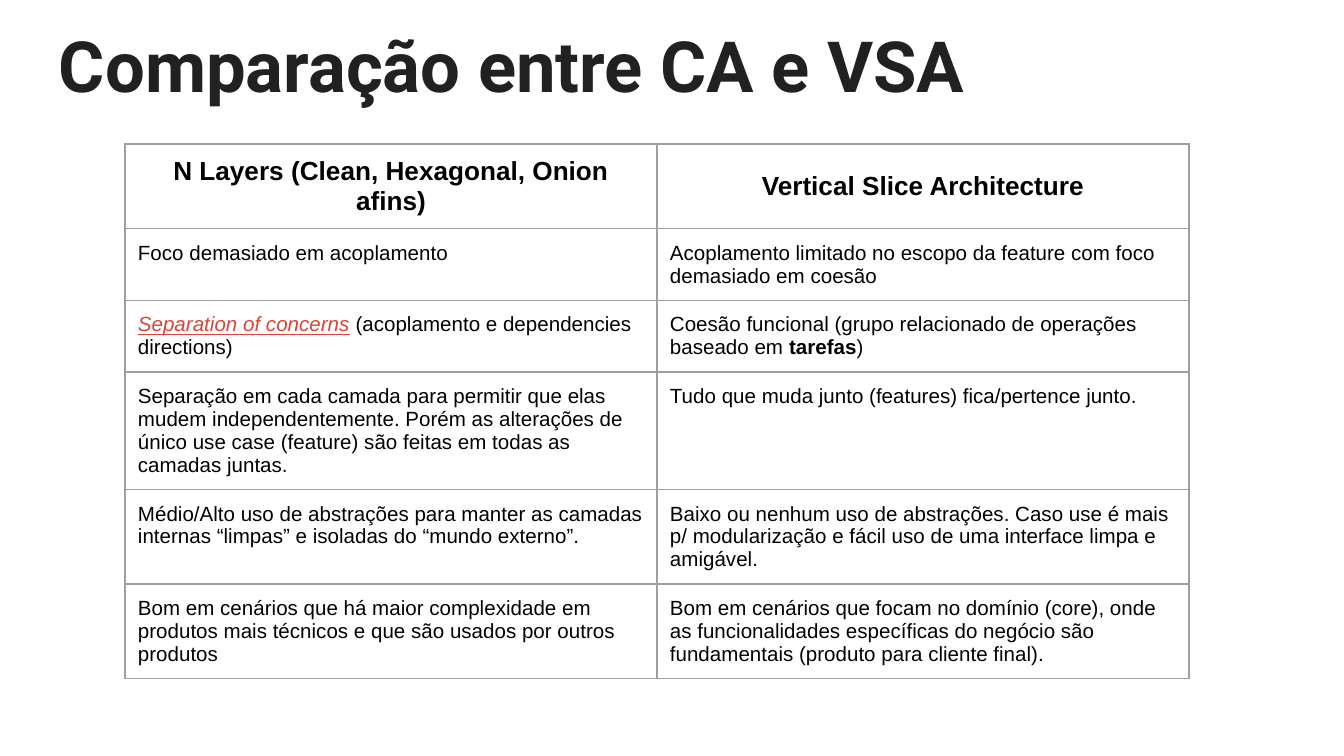
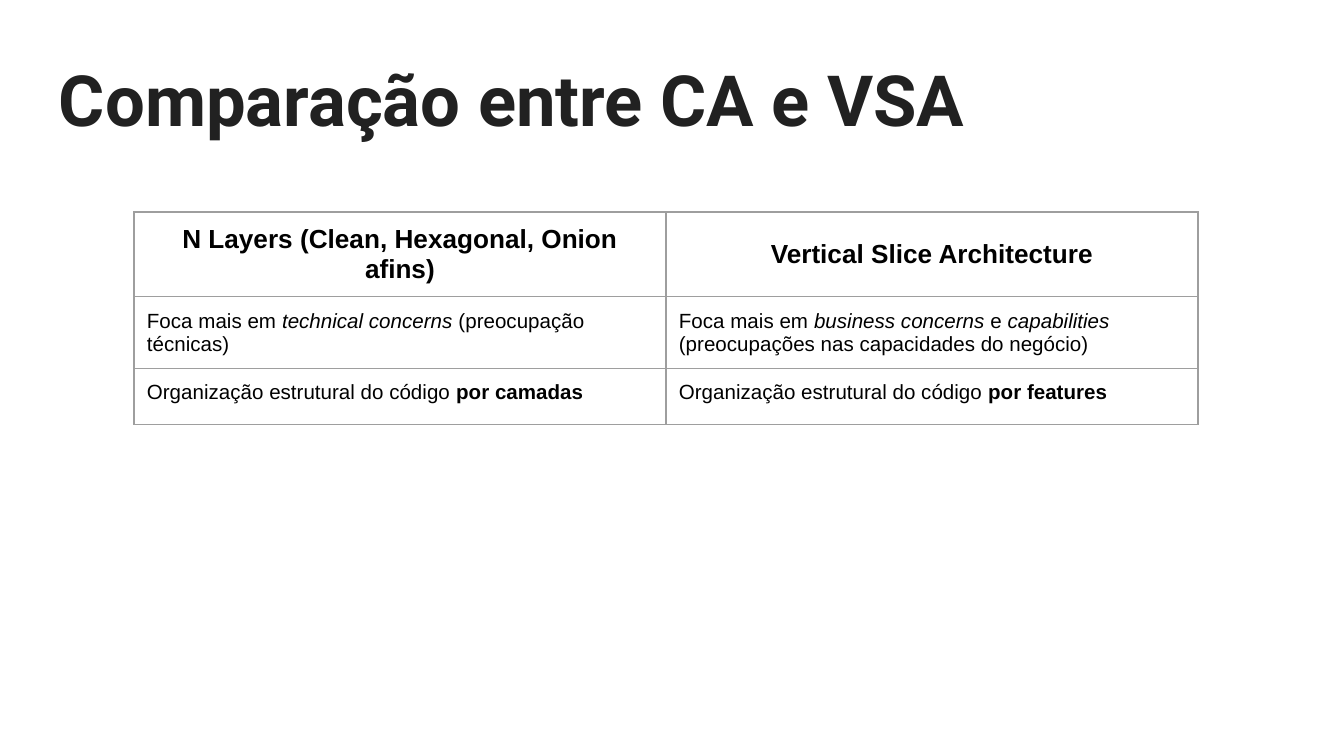
from lxml.etree import SubElement as Sub
from pptx import Presentation
from pptx.dml.color import RGBColor as Rgb
from pptx.enum.text import MSO_ANCHOR as Anchor, MSO_AUTO_SIZE as Fit, PP_ALIGN as Align
from pptx.oxml.ns import qn
from pptx.util import Emu, Pt

# Content: a cell is a list of (text, style) runs; b bold, i italic, u underlined red
TITLE = "Comparação entre CA e VSA"
HEADS = ("N Layers (Clean, Hexagonal, Onion afins)", "Vertical Slice Architecture")
SLIDES = [
    {"title_y": 9, "table_at": (125, 144), "rows": [
        ([("Foco demasiado em acoplamento", "")],
         [("Acoplamento limitado no escopo da feature com foco demasiado em coesão", "")]),
        ([("Separation of concerns", "iu"), (" (acoplamento e dependencies directions)", "")],
         [("Coesão funcional (grupo relacionado de operações baseado em ", ""),
          ("tarefas", "b"), (")", "")]),
        ([("Separação em cada camada para permitir que elas mudem independentemente. "
           "Porém as alterações de único use case (feature) são feitas em todas as "
           "camadas juntas.", "")],
         [("Tudo que muda junto (features) fica/pertence junto.", "")]),
        ([("Médio/Alto uso de abstrações para manter as camadas internas “limpas” e "
           "isoladas do “mundo externo”.", "")],
         [("Baixo ou nenhum uso de abstrações. Caso use é mais p/ modularização e fácil "
           "uso de uma interface limpa e amigável.", "")]),
        ([("Bom em cenários que há maior complexidade em produtos mais técnicos e que "
           "são usados por outros produtos", "")],
         [("Bom em cenários que focam no domínio (core), onde as funcionalidades "
           "específicas do negócio são fundamentais (produto para cliente final).", "")]),
    ]},
    {"title_y": 43, "table_at": (134, 212), "rows": [
        ([("Foca mais em ", ""), ("technical concerns ", "i"), ("(preocupação técnicas)", "")],
         [("Foca mais em ", ""), ("business concerns ", "i"), ("e ", ""),
          ("capabilities", "i"), (" (preocupações nas capacidades do negócio)", "")]),
        ([("Organização estrutural do código ", ""), ("por camadas", "b")],
         [("Organização estrutural do código ", ""), ("por features", "b")]),
    ]},
]

# Shared look
COLORS = {"title": "212121", "text": "000000", "term": "DB4437", "rule": "9E9E9E"}
COL_W, ROW_H, PAD = 532, 56, 13


def px(n):
    return Emu(round(n * 914400 / 134.4))


def style(run, face, size, color, bold=False, ital=False, under=False):
    font = run.font
    font.name, font.size = face, Pt(size)
    font.bold, font.italic, font.underline = bold, ital, under
    font.color.rgb = Rgb.from_string(COLORS[color])


def pad(box):
    box.margin_left = box.margin_right = box.margin_top = box.margin_bottom = px(PAD)


def add_title(slide, top):
    shape = slide.shapes.title
    shape.left, shape.top, shape.width, shape.height = map(px, (46, top, 1252, 118))
    frame = shape.text_frame
    frame.text = TITLE
    frame.word_wrap, frame.auto_size = True, Fit.NONE
    frame.vertical_anchor = Anchor.TOP
    pad(frame)
    para = frame.paragraphs[0]
    para.alignment = Align.LEFT
    style(para.runs[0], "Roboto", 37.8, "title", bold=True)


def rule(cell):
    props = cell._tc.get_or_add_tcPr()
    for side in ("a:lnL", "a:lnR", "a:lnT", "a:lnB"):
        line = Sub(props, qn(side), w=str(Pt(0.75)))
        fill = Sub(line, qn("a:solidFill"))
        Sub(fill, qn("a:srgbClr"), val=COLORS["rule"])


def fill_cell(cell, runs, head):
    rule(cell)
    cell.fill.background()
    pad(cell)
    para = cell.text_frame.paragraphs[0]
    para.alignment = Align.CENTER if head else Align.LEFT
    for text, marks in runs:
        run = para.add_run()
        run.text = text
        style(run, "Arial", 14 if head else 11, "term" if "u" in marks else "text",
              "b" in marks, "i" in marks, "u" in marks)


def add_grid(slide, spot, body):
    rows = [[[(head, "b")] for head in HEADS], *body]
    left, top = spot
    size = (left, top, COL_W * len(HEADS), ROW_H * len(rows))
    table = slide.shapes.add_table(len(rows), len(HEADS), *map(px, size)).table
    table.first_row = table.horz_banding = False
    for r, row in enumerate(rows):
        for c, runs in enumerate(row):
            fill_cell(table.cell(r, c), runs, head=r == 0)
    table.cell(0, 1).vertical_anchor = Anchor.MIDDLE


def main():
    deck = Presentation()
    deck.slide_width, deck.slide_height = px(1344), px(756)
    for data in SLIDES:
        slide = deck.slides.add_slide(deck.slide_layouts[5])
        add_title(slide, data["title_y"])
        add_grid(slide, data["table_at"], data["rows"])
    deck.save("out.pptx")


if __name__ == "__main__":
    main()
